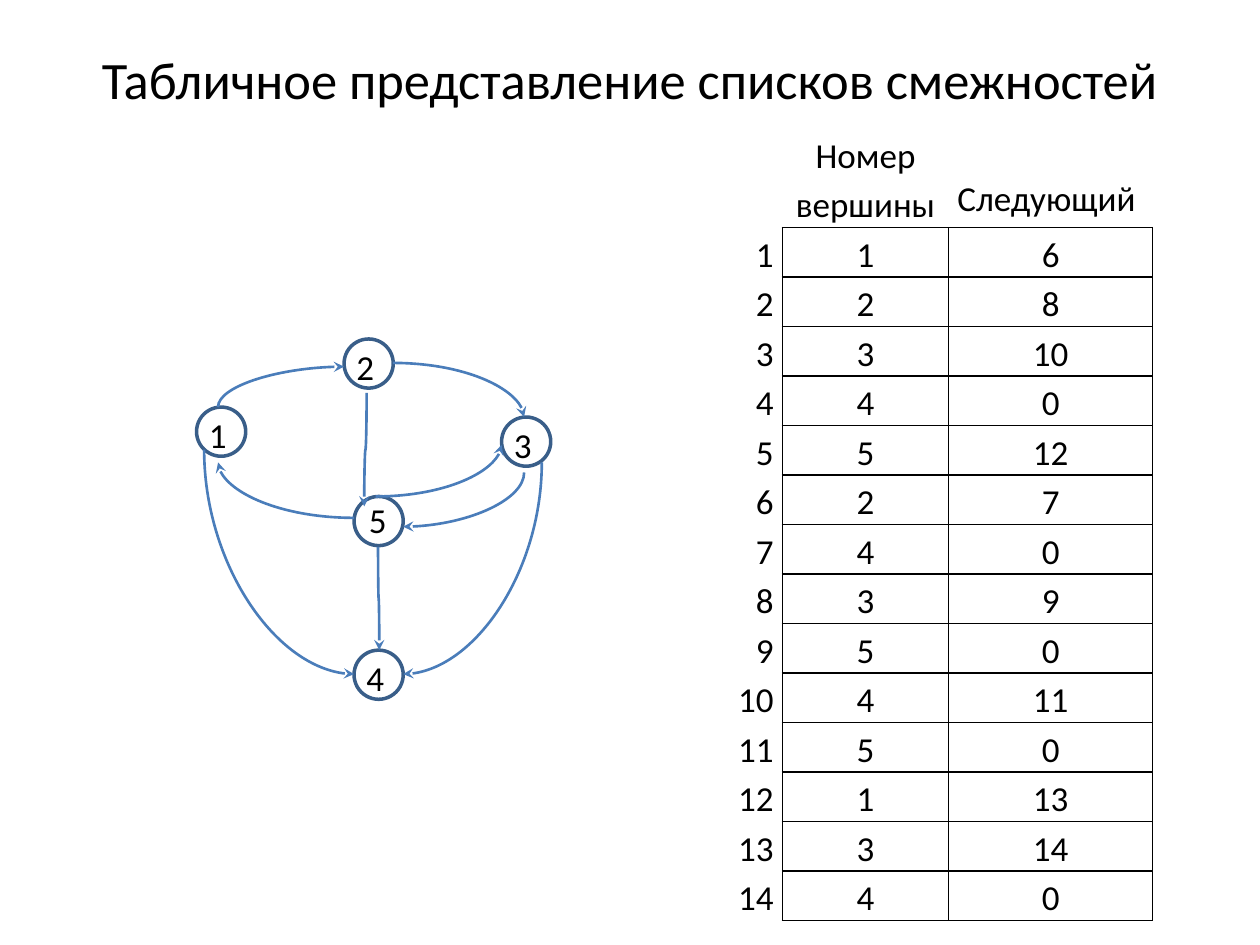
from dataclasses import dataclass

from lxml import etree
from pptx import Presentation
from pptx.dml.color import RGBColor
from pptx.enum import shapes, text
from pptx.oxml import ns
from pptx.util import Pt

BLACK = RGBColor(0x00, 0x00, 0x00)
NODE_BLUE = RGBColor(0x39, 0x5E, 0x89)
EDGE_BLUE = RGBColor(0x4A, 0x7D, 0xBA)
FONT = "Calibri"
DIAMETER = 28.1
LEFT, CENTER, RIGHT = (text.PP_ALIGN.LEFT, text.PP_ALIGN.CENTER,
                       text.PP_ALIGN.RIGHT)


@dataclass(frozen=True)
class Node:
    label: str
    x: float
    y: float
    label_dx: float = 0
    label_dy: float = 0


@dataclass(frozen=True)
class Edge:
    x1: float
    y1: float
    x2: float
    y2: float
    upright: bool = True
    preset: str = "curvedConnector2"


NODES = [
    Node("1", 112.3, 232.6),
    Node("5", 202.3, 283.7, 1.4, -2.2),
    Node("2", 196.6, 193.7),
    Node("3", 286.6, 238.3),
    Node("4", 202.3, 371.5),
]
EDGES = [
    Edge(124.6, 232.6, 196.6, 209.5),
    Edge(299.5, 270, 230.4, 301),
    Edge(209.5, 224.6, 208.1, 289.4, preset="curvedConnector3"),
    Edge(214.6, 283.7, 286.6, 254.2, upright=False),
    Edge(202.3, 295.9, 124.6, 264.2, upright=False),
    Edge(224.6, 207.4, 299.5, 238.3, upright=False),
    Edge(116.6, 257, 202.3, 385.2),
    Edge(216, 312.5, 216.7, 371.5, preset="curvedConnector3"),
    Edge(309.6, 264.2, 230.4, 385.2),
]
HEADERS = ["", "Номер вершины", "Следующий"]
ENTRIES = [(1, 6), (2, 8), (3, 10), (4, 0), (5, 12), (2, 7), (4, 0),
           (3, 9), (5, 0), (4, 11), (5, 0), (1, 13), (3, 14), (4, 0)]


def set_all(obj, **values) -> None:
    for name, value in values.items():
        setattr(obj, name, value)


def write(tf, content: str, size: float, align) -> None:
    p = tf.paragraphs[0]
    p.alignment = align
    r = p.add_run()
    r.text = content
    set_all(r.font, name=FONT, size=Pt(size))
    r.font.color.rgb = BLACK


def add_label(s, content: str, x: float, y: float, w: float, h: float,
              size: float, align=LEFT, wrap: bool = False,
              anchor=text.MSO_ANCHOR.TOP) -> None:
    tf = s.shapes.add_textbox(Pt(x), Pt(y), Pt(w), Pt(h)).text_frame
    set_all(tf, word_wrap=wrap, vertical_anchor=anchor)
    write(tf, content, size, align)


def add_node(s, node: Node) -> None:
    sp = s.shapes.add_shape(shapes.MSO_SHAPE.OVAL, Pt(node.x), Pt(node.y),
                            Pt(DIAMETER), Pt(DIAMETER))
    sp.shadow.inherit = False
    sp.fill.background()
    sp.line.color.rgb = NODE_BLUE
    sp.line.width = Pt(2)
    add_label(s, node.label, node.x + node.label_dx, node.y + node.label_dy,
              24.5, 31.7, 20)


def add_edge(s, edge: Edge) -> None:
    dx, dy = edge.x2 - edge.x1, edge.y2 - edge.y1
    w, h = abs(dx), abs(dy)
    if edge.upright:
        w, h = h, w
        rotation = 90 if dx < 0 else 270
        flip = (dy < 0) == (rotation == 90)
    else:
        rotation = 180 if dy < 0 else 0
        flip = (dx < 0) != (rotation == 180)
    x = (edge.x1 + edge.x2 - w) / 2
    y = (edge.y1 + edge.y2 - h) / 2
    c = s.shapes.add_connector(shapes.MSO_CONNECTOR.CURVE,
                               Pt(x), Pt(y), Pt(x + w), Pt(y + h))
    c.line.color.rgb = EDGE_BLUE
    c.line.width = Pt(1.5)
    pr = c.element.spPr
    xfrm = pr.find(ns.qn("a:xfrm"))
    xfrm.set("rot", str(rotation * 60000))
    xfrm.set("flipH", str(int(flip)))
    pr.find(ns.qn("a:prstGeom")).set("prst", edge.preset)
    etree.SubElement(pr.find(ns.qn("a:ln")), ns.qn("a:tailEnd"),
                     type="stealth")
    etree.SubElement(pr, ns.qn("a:effectLst"))


def set_borders(cell, sides: str) -> None:
    pr = cell._tc.get_or_add_tcPr()
    for side in "LRTB":
        ln = etree.SubElement(pr, ns.qn(f"a:ln{side}"), w=str(Pt(1)))
        if side in sides:
            fill = etree.SubElement(ln, ns.qn("a:solidFill"))
            etree.SubElement(fill, ns.qn("a:srgbClr"), val=str(BLACK))
        else:
            etree.SubElement(ln, ns.qn("a:noFill"))


def fill_cell(cell, content: str, align, sides: str) -> None:
    set_borders(cell, sides)
    cell.fill.background()
    set_all(cell, margin_left=Pt(5), margin_right=Pt(5),
            margin_top=0, margin_bottom=0)
    cell.text_frame.paragraphs[0].line_spacing = 1.15
    if content:
        write(cell.text_frame, content, 20, align)


def add_adjacency_table(s) -> None:
    widths, heights = [59, 95, 116.6], [56.5] + [28.3] * len(ENTRIES)
    tbl = s.shapes.add_table(len(heights), len(widths), Pt(73.5 + 314.6),
                             Pt(73.5), Pt(sum(widths)),
                             Pt(sum(heights))).table
    set_all(tbl, first_row=False, horz_banding=False)
    for col, width in zip(tbl.columns, widths):
        col.width = Pt(width)
    for row, height in zip(tbl.rows, heights):
        row.height = Pt(height)
    for j, (header, align) in enumerate(zip(HEADERS, (LEFT, CENTER, LEFT))):
        fill_cell(tbl.cell(0, j), header, align, "B" if j else "")
    set_all(tbl.cell(0, 2), vertical_anchor=text.MSO_ANCHOR.BOTTOM,
            margin_bottom=Pt(4))
    for i, entry in enumerate(ENTRIES, 1):
        for j, value in enumerate((i, *entry)):
            fill_cell(tbl.cell(i, j), str(value), CENTER if j else RIGHT,
                      "LRTB" if j else "R")


def main() -> None:
    prs = Presentation()
    set_all(prs, slide_width=Pt(720), slide_height=Pt(540))
    s = prs.slides.add_slide(prs.slide_layouts[6])
    add_label(s, "Табличное представление списков смежностей",
              36, 21.6, 648, 46, 30, CENTER, True, text.MSO_ANCHOR.MIDDLE)
    add_adjacency_table(s)
    for node in NODES:
        add_node(s, node)
    for edge in EDGES:
        add_edge(s, edge)
    prs.save("out.pptx")


if __name__ == "__main__":
    main()
